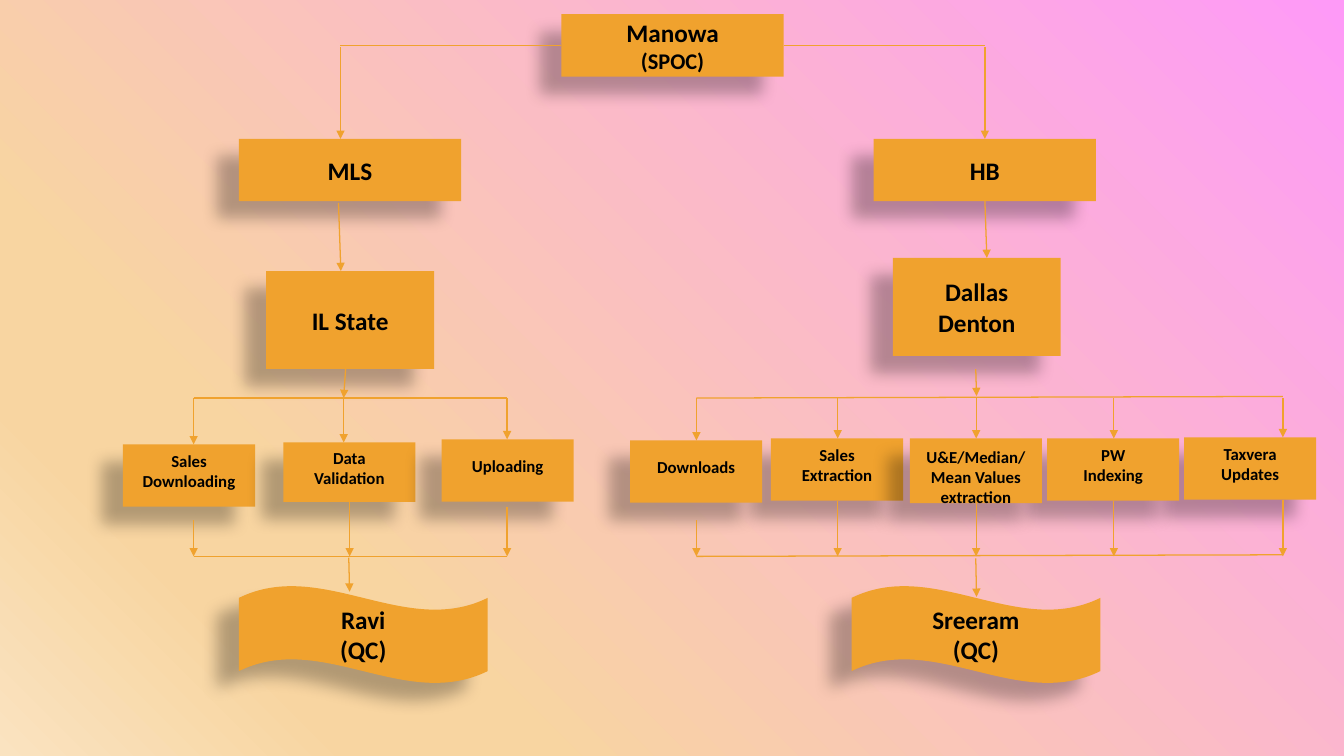
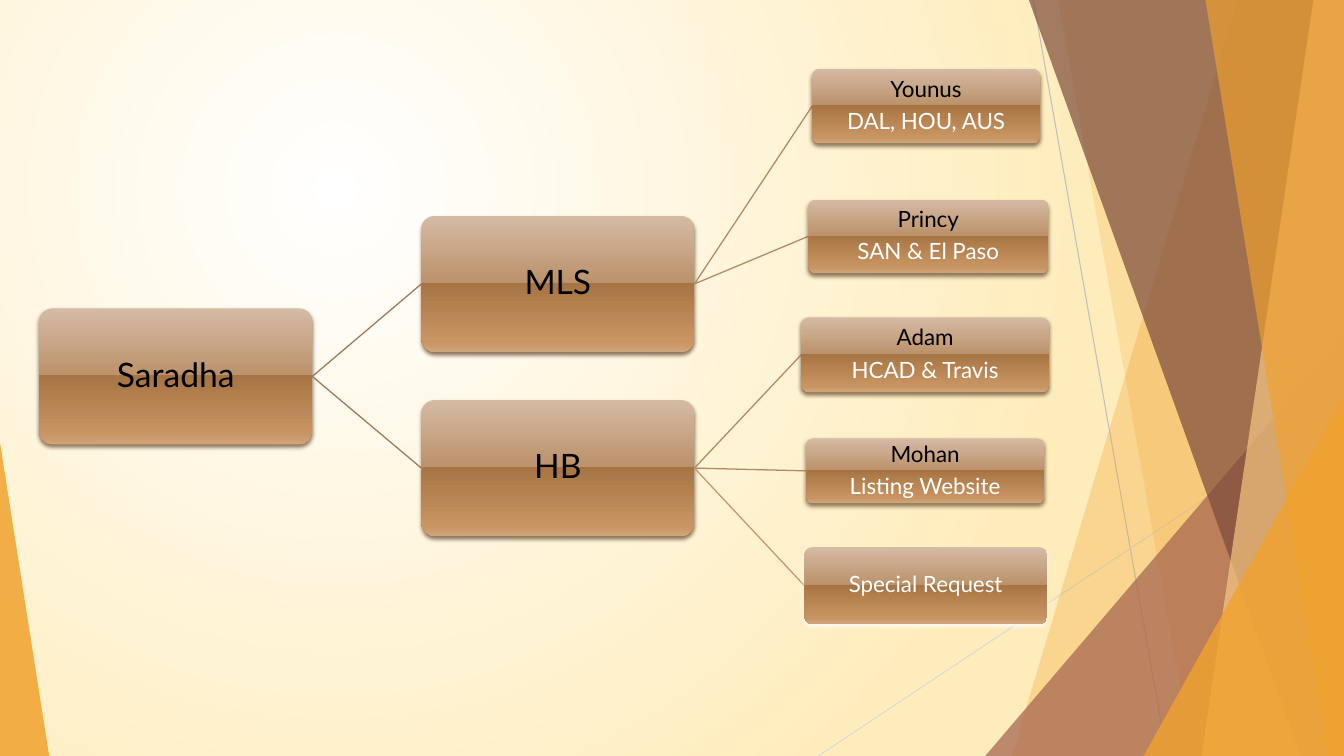
"""Build two organisation charts: a work-flow slide and a team-tree slide."""
from lxml.etree import SubElement
from pptx import Presentation
from pptx.dml.color import RGBColor
from pptx.enum.shapes import MSO_CONNECTOR, MSO_SHAPE
from pptx.enum.text import MSO_ANCHOR, PP_ALIGN
from pptx.oxml import parse_xml
from pptx.oxml.ns import nsdecls, qn
from pptx.util import Cm, Pt

WIDTH, HEIGHT = 33.87, 19.05
BLACK = RGBColor(0x00, 0x00, 0x00)
WHITE = RGBColor(0xFF, 0xFF, 0xFF)
ORANGE = RGBColor(0xF0, 0xA2, 0x2E)
PEACH = RGBColor(0xF6, 0xC7, 0x82)
RUST = RGBColor(0xA5, 0x64, 0x4E)
BROWN = RGBColor(0x7C, 0x4B, 0x3B)
COPPER = RGBColor(0xC7, 0x94, 0x62)
UMBER = RGBColor(0x78, 0x5E, 0x43)
ROOT_LINE = RGBColor(0x9C, 0x7A, 0x57)
LEAF_LINE = RGBColor(0xB1, 0x8A, 0x63)
REQUEST_LINE = RGBColor(0xC3, 0x98, 0x6D)
GREY = RGBColor(0xBF, 0xBF, 0xBF)
LIGHT_GREY = RGBColor(0xD9, 0xD9, 0xD9)

FLOW_SHADOW = (BLACK, 28, 11.8, 19.7, 141)
CARD_SHADOW = (UMBER, 83, 3.1, 2, 90)
REQUEST_SHADOW = (WHITE, 83, 3.1, 2, 90)

FLOW_STOPS = [(0, "FE9AF7"), (74, "F8D5A1"), (83, "F8D5A1"), (100, "FAE3C0")]
TREE_STOPS = [(0, "FFFFFF"), (100, "FEECBA")]
CARD_STOPS = [(0, "D5BAA4"), (49, "BB926B"), (49, "A77543"),
              (92, "C79462"), (100, "D1A47B")]
DIAGONAL = '<a:lin ang="8100000" scaled="0"/>'
DOWN = '<a:lin ang="5400000" scaled="0"/>'
RADIAL = ('<a:path path="circle"><a:fillToRect l="50000" t="50000" '
          'r="100000" b="100000"/></a:path>')


def add_box(s, kind, x, y, w, h, text, size, font, fill, shadow):
    """Add a filled, shadowed shape with centred text."""
    sp = s.shapes.add_shape(kind, Cm(x), Cm(y), Cm(w), Cm(h))
    sp.fill.solid()
    sp.fill.fore_color.rgb = fill
    sp.line.fill.background()
    sp.shadow.inherit = False
    color, alpha, blur, dist, angle = shadow
    effects = sp.element.spPr.find(qn("a:effectLst"))
    effects.append(parse_xml(
        f'<a:outerShdw {nsdecls("a")} blurRad="{Pt(blur)}" dist="{Pt(dist)}" '
        f'dir="{angle * 60000}" rotWithShape="0"><a:srgbClr val="{color}">'
        f'<a:alpha val="{alpha * 1000}"/></a:srgbClr></a:outerShdw>'))
    tf = sp.text_frame
    tf.word_wrap = True
    tf.vertical_anchor = MSO_ANCHOR.MIDDLE
    tf.text = text
    for p in tf.paragraphs:
        p.alignment = PP_ALIGN.CENTER
        p.font.size = Pt(size)
        p.font.name = font
        p.font.color.rgb = BLACK
        p.font.bold = font == "Calibri"
    return sp


def add_line(s, x1, y1, x2, y2, color=ORANGE, width=0.9, arrow=False):
    """Add a straight line, with an arrowhead at its end if asked."""
    c = s.shapes.add_connector(
        MSO_CONNECTOR.STRAIGHT, Cm(x1), Cm(y1), Cm(x2), Cm(y2))
    c.line.color.rgb = color
    c.line.width = Pt(width)
    spPr = c.element.spPr
    if arrow:
        SubElement(spPr.find(qn("a:ln")), qn("a:tailEnd"), type="triangle")
    SubElement(spPr, qn("a:effectLst"))


prs = Presentation()
prs.slide_width = Cm(WIDTH)
prs.slide_height = Cm(HEIGHT)
flow = prs.slides.add_slide(prs.slide_layouts[6])
tree = prs.slides.add_slide(prs.slide_layouts[6])

LEAD, PLACE, SIGN = (5.6, 1.57), (4.23, 2.47), (6.27, 2.46)
stages = [
    (MSO_SHAPE.RECTANGLE, 14.15, 0.36, LEAD, "Manowa\n(SPOC)"),
    (MSO_SHAPE.RECTANGLE, 6.02, 3.5, LEAD, "MLS"),
    (MSO_SHAPE.RECTANGLE, 22.02, 3.5, LEAD, "HB"),
    (MSO_SHAPE.RECTANGLE, 6.71, 6.83, PLACE, "IL State"),
    (MSO_SHAPE.RECTANGLE, 22.5, 6.5, PLACE, "Dallas\nDenton"),
    (MSO_SHAPE.WAVE, 6.02, 14.76, SIGN, "Ravi\n(QC)"),
    (MSO_SHAPE.WAVE, 21.46, 14.76, SIGN, "Sreeram\n(QC)"),
]
for kind, x, y, (w, h), text in stages:
    sp = add_box(flow, kind, x, y, w, h, text, 18, "Calibri", ORANGE, FLOW_SHADOW)
    if "SPOC" in text:
        sp.text_frame.paragraphs[1].font.size = Pt(16)

RAIL_TOP, RAIL_BOTTOM = 10.03, 14.02
tasks = [
    ("Sales Downloading", 3.1, 11.2, 1.57, 4.88, 4.88, 13.11),
    ("Data\nValidation", 7.14, 11.15, 1.5, 8.66, 8.81, 12.65),
    ("Uploading", 11.13, 11.07, 1.57, 12.78, 12.78, 12.78),
    ("Sales\nExtraction", 19.43, 11.05, 1.57, 21.11, 21.11, 12.62),
    ("Downloads", 15.88, 11.1, 1.57, 17.55, 17.55, 13.11),
    ("Taxvera\nUpdates", 29.84, 11.02, 1.57, 32.33, 32.33, 12.6),
    ("PW\nIndexing", 26.39, 11.05, 1.57, 28.07, 28.07, 12.62),
    ("U&E/Median/\nMean Values extraction", 22.93, 11.05, 1.63, 24.6, 24.6, 12.67),
]
for text, x, y, h, *_ in tasks:
    sp = add_box(flow, MSO_SHAPE.RECTANGLE, x, y, 3.33, h, text, 12, "Calibri",
                 ORANGE, FLOW_SHADOW)
    tf = sp.text_frame
    tf.margin_top, tf.margin_bottom = Cm(0), Cm(0.24)
    if text.startswith("U&E"):
        tf.vertical_anchor = MSO_ANCHOR.TOP
        tf.margin_top = Cm(0.2)

for text, x, y, h, drop_x, exit_x, exit_y in tasks:
    add_line(flow, drop_x, RAIL_TOP, drop_x, y, arrow=True)
    add_line(flow, exit_x, exit_y, exit_x, RAIL_BOTTOM, arrow=True)
for left, right, rise in [(4.88, 12.78, 0), (17.55, 32.33, 0.04)]:
    for y in (RAIL_TOP, RAIL_BOTTOM):
        add_line(flow, left, y, right, y - rise)
for edge, x in [(14.15, 8.58), (19.75, 24.82)]:
    add_line(flow, edge, 1.14, x, 1.14)
    add_line(flow, x, 1.19, x, 3.5, arrow=True)
links = [
    (8.53, 5.11, 8.59, 6.83), (24.82, 5.05, 24.87, 6.5),
    (8.71, 9.3, 8.66, 10.03), (24.59, 9.3, 24.61, 9.98),
    (8.79, 14.05, 8.81, 14.91), (24.59, 14.07, 24.61, 15.04),
]
for link in links:
    add_line(flow, *link, arrow=True)

add_line(tree, 26.04, 0, 29.41, HEIGHT, GREY, 0.75)
add_line(tree, WIDTH, 10.24, 20.62, HEIGHT, LIGHT_GREY, 0.75)
facets = [
    ("band", 31.19, 25.5, ORANGE, 30),
    ("band", 26.67, 30.05, ORANGE, 20),
    ("right", 9.04, 10.59, RUST, 72),
    ("band", 25.93, 32.79, BROWN, 70),
    ("band", 33.1, 30.28, PEACH, 70),
    ("band", 30.38, 33.48, ORANGE, 65),
    ("right", 5.05, 9.07, ORANGE, 80),
    ("left", 1.24, 7.9, ORANGE, 85),
]
for kind, a, b, color, alpha in facets:
    if kind == "band":
        corners = [(WIDTH, 0), (WIDTH, HEIGHT), (b, HEIGHT)]
        builder = tree.shapes.build_freeform(Cm(a), Cm(0))
        builder.add_line_segments([(Cm(x), Cm(y)) for x, y in corners])
        sp = builder.convert_to_shape()
    else:
        x = WIDTH - a if kind == "right" else 0
        sp = tree.shapes.add_shape(MSO_SHAPE.ISOSCELES_TRIANGLE, Cm(x),
                                   Cm(HEIGHT - b), Cm(a), Cm(b))
        sp.adjustments[0] = 1 if kind == "right" else 0
    sp.shadow.inherit = False
    sp.fill.solid()
    sp.fill.fore_color.rgb = color
    sp.line.fill.background()
    tint = sp.element.spPr.find(qn("a:solidFill")).find(qn("a:srgbClr"))
    SubElement(tint, qn("a:alpha"), val=str(alpha * 1000))

cards = [
    ("Saradha", 0.99, 7.77, 6.88, 3.43, None, None),
    ("MLS", 10.62, 5.44, 6.88, 3.43, 0, ROOT_LINE),
    ("HB", 10.62, 10.08, 6.88, 3.43, 0, ROOT_LINE),
    ("Younus\nDAL, HOU, AUS", 20.47, 1.73, 5.74, 1.88, 1, LEAF_LINE),
    ("Princy\nSAN & El Paso", 20.37, 5.03, 6.05, 1.85, 1, LEAF_LINE),
    ("Adam\nHCAD & Travis", 20.19, 8, 6.25, 1.88, 2, LEAF_LINE),
    ("Mohan\nListing Website", 20.32, 11.05, 5.99, 1.63, 2, LEAF_LINE),
    ("Special Request", 20.27, 13.79, 6.12, 1.93, 2, REQUEST_LINE),
]
gradients = [(flow.background.fill, flow.element, FLOW_STOPS, DIAGONAL),
             (tree.background.fill, tree.element, TREE_STOPS, RADIAL)]
for text, x, y, w, h, parent, color in cards:
    if parent is not None:
        _, px, py, pw, ph, *_ = cards[parent]
        add_line(tree, px + pw, py + ph / 2, x, y + h / 2, color)
    leaf = bool(parent)
    shadow = REQUEST_SHADOW if color == REQUEST_LINE else CARD_SHADOW
    sp = add_box(tree, MSO_SHAPE.ROUNDED_RECTANGLE, x, y, w, h, text,
                 16 if leaf else 24, "Lato", COPPER, shadow)
    sp.adjustments[0] = 0.1
    tf = sp.text_frame
    tf.margin_left = tf.margin_right = tf.margin_top = tf.margin_bottom = Cm(0.1)
    for p in tf.paragraphs:
        p.line_spacing = 0.9
        p.space_after = Pt(5.6)
    if leaf:
        tf.paragraphs[-1].font.color.rgb = WHITE
    gradients.append((sp.fill, sp.element, CARD_STOPS, DOWN))

for fill, element, stops, direction in gradients:
    fill.gradient()
    old = element.find(".//" + qn("a:gradFill"))
    marks = "".join(f'<a:gs pos="{pos * 1000}"><a:srgbClr val="{color}"/></a:gs>'
                    for pos, color in stops)
    old.getparent().replace(old, parse_xml(
        f'<a:gradFill {nsdecls("a")} rotWithShape="1"><a:gsLst>{marks}</a:gsLst>'
        f'{direction}</a:gradFill>'))

prs.save("out.pptx")
